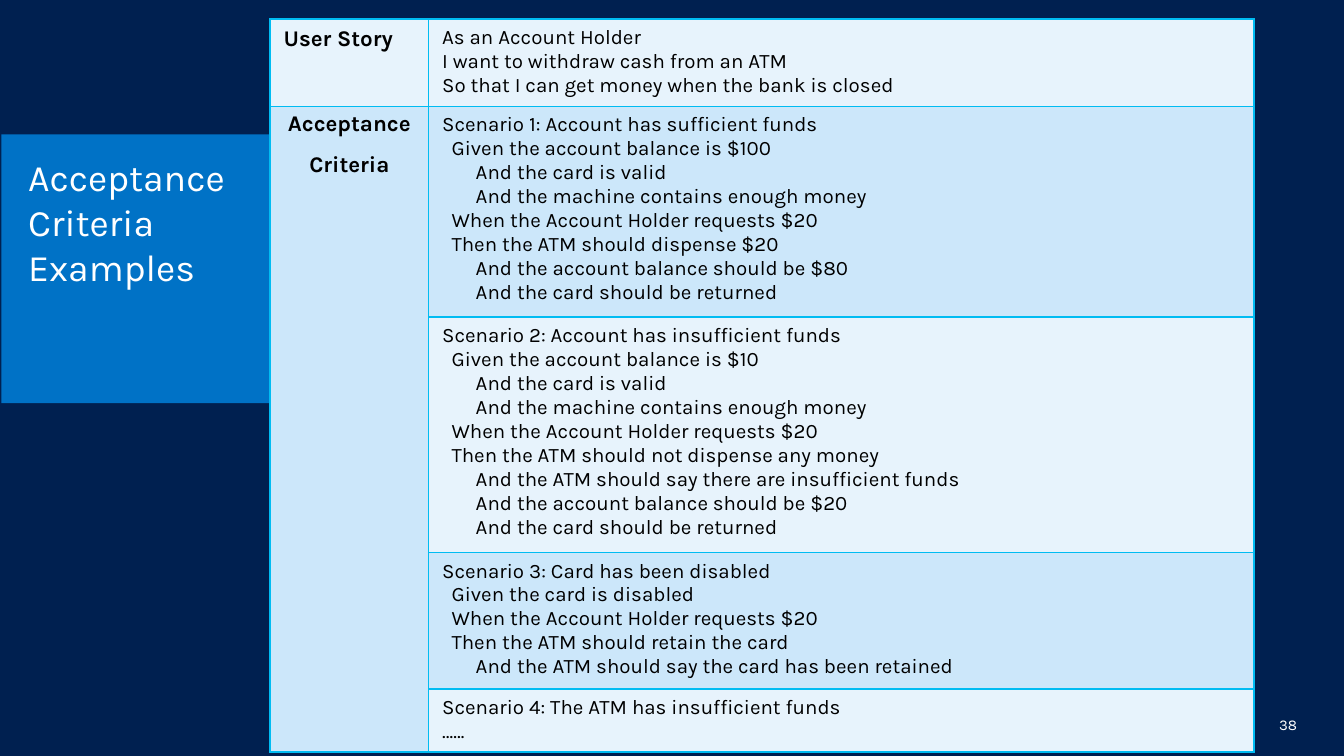
from lxml import etree
from pptx import Presentation
from pptx.dml.color import RGBColor
from pptx.enum.shapes import MSO_SHAPE
from pptx.enum.text import MSO_ANCHOR, PP_ALIGN
from pptx.oxml.ns import qn
from pptx.util import Inches, Pt

FONT = "Karla"
NAVY, BLUE, CYAN = "002050", "0072C6", "00BCF2"
PALE, LIGHT = "E7F3FC", "CCE7FA"
WHITE, BLACK = "FFFFFF", "000000"

COLUMN_WIDTHS = [1.18, 6.14]
ROW_HEIGHTS = [0.64, 1.46, 1.63, 0.95, 0.44]
STEP_INDENTS = [0, 0.07, 0.25]

# Each line is (indent level, text).
USER_STORY = [
    (0, "As an Account Holder"),
    (0, "I want to withdraw cash from an ATM"),
    (0, "So that I can get money when the bank is closed"),
]
SCENARIOS = [
    [
        (0, "Scenario 1: Account has sufficient funds"),
        (1, "Given the account balance is $100"),
        (2, "And the card is valid"),
        (2, "And the machine contains enough money"),
        (1, "When the Account Holder requests $20"),
        (1, "Then the ATM should dispense $20"),
        (2, "And the account balance should be $80"),
        (2, "And the card should be returned"),
    ],
    [
        (0, "Scenario 2: Account has insufficient funds"),
        (1, "Given the account balance is $10"),
        (2, "And the card is valid"),
        (2, "And the machine contains enough money"),
        (1, "When the Account Holder requests $20"),
        (1, "Then the ATM should not dispense any money"),
        (2, "And the ATM should say there are insufficient funds"),
        (2, "And the account balance should be $20"),
        (2, "And the card should be returned"),
    ],
    [
        (0, "Scenario 3: Card has been disabled"),
        (1, "Given the card is disabled"),
        (1, "When the Account Holder requests $20"),
        (1, "Then the ATM should retain the card"),
        (2, "And the ATM should say the card has been retained"),
    ],
    [
        (0, "Scenario 4: The ATM has insufficient funds"),
        (0, "……"),
    ],
]


def set_fill(target, color):
    target.fill.solid()
    target.fill.fore_color.rgb = RGBColor.from_string(color)


def style_paragraph(paragraph, size, color, bold=False, align=PP_ALIGN.LEFT):
    paragraph.alignment = align
    font = paragraph.font
    font.name, font.size, font.bold = FONT, Pt(size), bold
    font.color.rgb = RGBColor.from_string(color)


def write_lines(text_frame, lines, size, color, **style):
    """Write one paragraph per line and return the paragraphs."""
    text_frame.text = "\n".join(lines)
    for paragraph in text_frame.paragraphs:
        style_paragraph(paragraph, size, color, **style)
    return text_frame.paragraphs


def write_steps(cell, steps):
    lines = [text for _, text in steps]
    paragraphs = write_lines(cell.text_frame, lines, 11, BLACK)
    for paragraph, (level, _) in zip(paragraphs, steps):
        properties = paragraph._p.get_or_add_pPr()
        properties.set("marL", str(Inches(STEP_INDENTS[level])))
        properties.set("indent", "0")


def set_borders(cell, color, width):
    properties = cell._tc.get_or_add_tcPr()
    for position, side in enumerate(("lnL", "lnR", "lnT", "lnB")):
        line = etree.Element(qn(f"a:{side}"), w=str(Pt(width)))
        fill = etree.SubElement(line, qn("a:solidFill"))
        etree.SubElement(fill, qn("a:srgbClr"), val=color)
        properties.insert(position, line)


def add_title(slide, left, top, width, height):
    title = slide.shapes.add_shape(
        MSO_SHAPE.RECTANGLE, Inches(left), Inches(top), Inches(width), Inches(height))
    title.shadow.inherit = False
    set_fill(title, BLUE)
    title.line.fill.background()
    frame = title.text_frame
    frame.word_wrap = True
    frame.vertical_anchor = MSO_ANCHOR.TOP
    frame.margin_left, frame.margin_top = Inches(0.2), Inches(0.15)
    write_lines(frame, ["Acceptance Criteria Examples"], 20, WHITE)


def add_slide_number(slide, left, top, width, height):
    box = slide.shapes.add_textbox(
        Inches(left), Inches(top), Inches(width), Inches(height))
    box.text_frame.word_wrap = True
    box.text_frame.vertical_anchor = MSO_ANCHOR.BOTTOM
    write_lines(box.text_frame, ["38"], 8, WHITE, align=PP_ALIGN.RIGHT)


def add_criteria_table(slide, left, top):
    table = slide.shapes.add_table(
        len(ROW_HEIGHTS), len(COLUMN_WIDTHS), Inches(left), Inches(top),
        Inches(sum(COLUMN_WIDTHS)), Inches(sum(ROW_HEIGHTS))).table
    for column, width in zip(table.columns, COLUMN_WIDTHS):
        column.width = Inches(width)

    for index, steps in enumerate([USER_STORY] + SCENARIOS):
        table.rows[index].height = Inches(ROW_HEIGHTS[index])
        label_cell, steps_cell = table.cell(index, 0), table.cell(index, 1)
        set_fill(label_cell, LIGHT if index else PALE)
        set_fill(steps_cell, LIGHT if index % 2 else PALE)
        for cell in (label_cell, steps_cell):
            set_borders(cell, CYAN, 1)
        write_steps(steps_cell, steps)

    write_lines(table.cell(0, 0).text_frame, ["User Story"], 12, BLACK, bold=True)
    criteria_cell = table.cell(1, 0)
    criteria_cell.merge(table.cell(len(SCENARIOS), 0))
    for paragraph in write_lines(criteria_cell.text_frame, ["Acceptance", "Criteria"],
                                 12, BLACK, bold=True, align=PP_ALIGN.CENTER):
        paragraph.line_spacing = 0.9
        paragraph.space_before = Pt(9)


def main():
    presentation = Presentation()
    presentation.slide_width = Inches(10)
    presentation.slide_height = Inches(10 * 9 / 16)
    slide = presentation.slides.add_slide(presentation.slide_layouts[6])
    set_fill(slide.background, NAVY)
    add_title(slide, 0.01, 1, 2, 2)
    add_slide_number(slide, 7.42, 5.21, 2.33, 0.3)
    add_criteria_table(slide, 2.01, 0.14)
    presentation.save("out.pptx")


if __name__ == "__main__":
    main()
